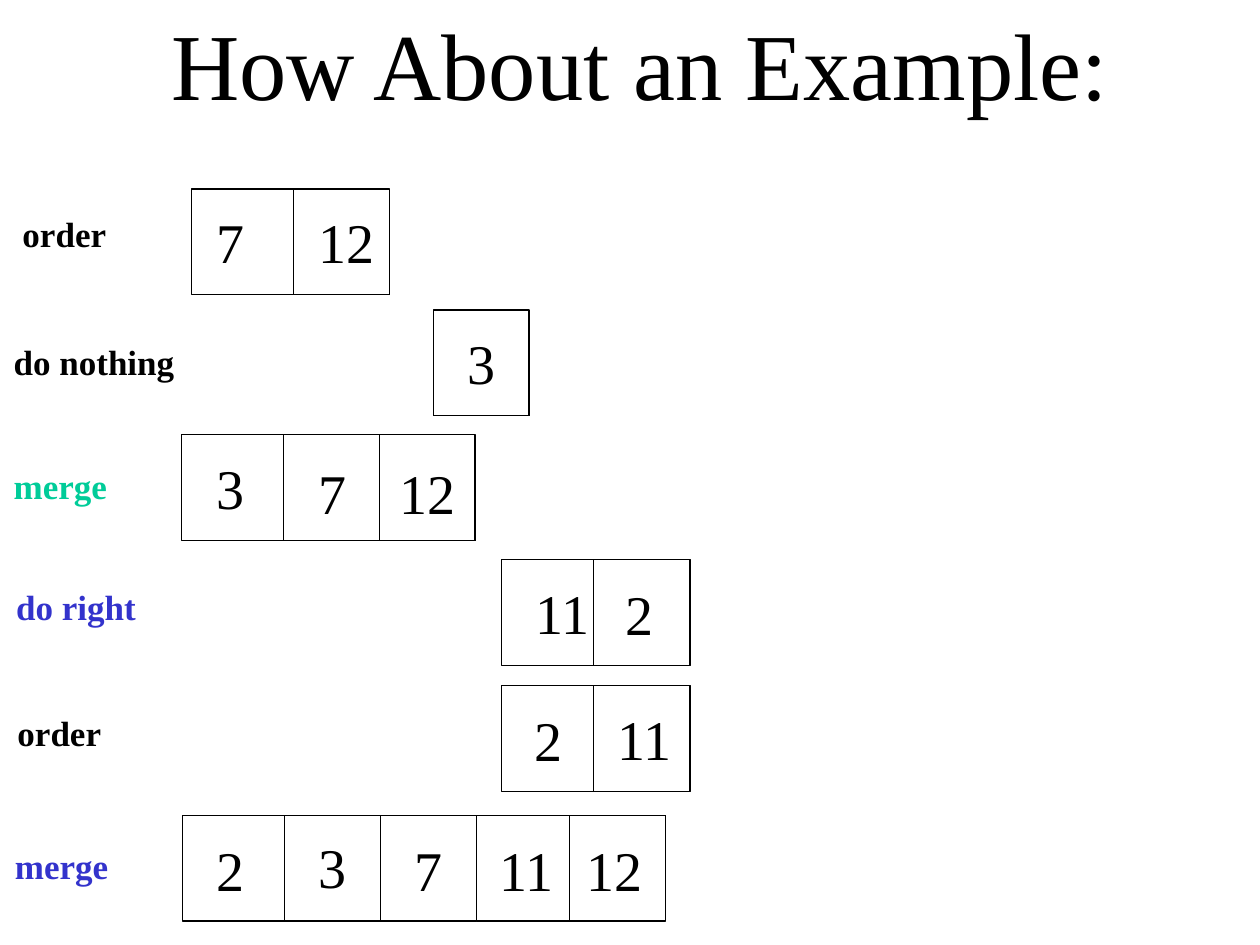
"""Build a slide that traces a merge sort row by row."""
from pptx import Presentation
from pptx import util as u
from pptx.dml.color import RGBColor
from pptx.enum import shapes, text
from pptx.oxml.ns import qn
from lxml import etree

FONT = "Times New Roman"
BLACK, GREEN, BLUE = "000000", "00CC99", "3333CC"
TITLE = "How About an Example:"
ROW_H, NUM_H, LABEL_H = 0.84, 0.64, 0.44
NUM_W = {1: 0.44, 2: 0.67}

ROWS = [
    {"top": 1.5, "label": ("order", 0.08, 1.64, 0.89, BLACK),
     "boxes": [(1.52, 1.57)], "lines": [2.33, 3.09],
     "numbers": [("7", 1.62, 1.6), ("12", 2.43, 1.6)]},
    {"top": 2.46, "label": ("do nothing", 0.01, 2.65, 1.5, BLACK),
     "boxes": [(3.44, 0.76)], "lines": [3.44, 4.2],
     "numbers": [("3", 3.61, 2.56)]},
    {"top": 3.45, "label": ("merge", 0.01, 3.64, 0.97, GREEN),
     "boxes": [(1.44, 2.33)], "lines": [2.25, 3.01, 3.77],
     "numbers": [("3", 1.62, 3.55), ("7", 2.43, 3.59), ("12", 3.07, 3.59)]},
    {"top": 4.44, "label": ("do right", 0.03, 4.6, 1.18, BLUE),
     "boxes": [(3.98, 1.5)], "lines": [3.98, 4.71, 5.47],
     "numbers": [("11", 4.15, 4.54), ("2", 4.87, 4.55)]},
    {"top": 5.44, "label": ("order", 0.04, 5.6, 0.89, BLACK),
     "boxes": [(3.98, 1.5)], "lines": [3.98, 4.71, 5.47],
     "numbers": [("2", 4.14, 5.55), ("11", 4.8, 5.54)]},
    {"top": 6.47, "label": ("merge", 0.02, 6.65, 0.97, BLUE),
     "boxes": [(1.45, 2.33), (3.78, 1.5)],
     "lines": [2.26, 3.02, 3.78, 4.52, 5.28],
     "numbers": [("2", 1.62, 6.58), ("3", 2.43, 6.56), ("7", 3.19, 6.58),
                 ("11", 3.87, 6.58), ("12", 4.56, 6.58)]},
]


def rgb(value):
    return RGBColor.from_string(value)


def inches(*values):
    return [u.Inches(v) for v in values]


def write(sp, content, size, color=BLACK, bold=False):
    tf = sp.text_frame
    tf.word_wrap = False
    tf.auto_size = text.MSO_AUTO_SIZE.SHAPE_TO_FIT_TEXT
    tf.vertical_anchor = text.MSO_ANCHOR.TOP
    p = tf.paragraphs[0]
    p.alignment = text.PP_ALIGN.LEFT
    r = p.add_run()
    r.text = content
    r.font.name, r.font.size, r.font.bold = FONT, u.Pt(size), bold
    r.font.color.rgb = rgb(color)


def outline(sp):
    sp.line.color.rgb = rgb(BLACK)
    sp.line.width = u.Pt(0.75)


def add_title(s):
    sp = s.shapes.title
    sp.left, sp.top, sp.width, sp.height = inches(1.26, 0, 7.68, 1)
    write(sp, TITLE, 54)


def add_label(s, content, left, top, width, color):
    sp = s.shapes.add_textbox(*inches(left, top, width, LABEL_H))
    write(sp, content, 20, color, True)


def add_number(s, content, left, top):
    sp = s.shapes.add_textbox(*inches(left, top, NUM_W[len(content)], NUM_H))
    write(sp, content, 32)


def add_box(s, left, top, width):
    sp = s.shapes.add_shape(shapes.MSO_SHAPE.RECTANGLE,
                            *inches(left, top, width, ROW_H))
    sp.shadow.inherit = False
    sp.fill.background()
    outline(sp)


def add_divider(s, x, top):
    sp = s.shapes.add_connector(shapes.MSO_CONNECTOR.STRAIGHT,
                                *inches(x, top, x, top + ROW_H))
    outline(sp)
    etree.SubElement(sp._element.spPr, qn("a:effectLst"))


def add_row(s, row):
    add_label(s, *row["label"])
    for x in row["lines"]:
        add_divider(s, x, row["top"])
    for number in row["numbers"]:
        add_number(s, *number)
    for left, width in row["boxes"]:
        add_box(s, left, row["top"], width)


def main():
    prs = Presentation()
    prs.slide_width, prs.slide_height = inches(10, 7.5)
    s = prs.slides.add_slide(prs.slide_layouts[5])
    add_title(s)
    for row in ROWS:
        add_row(s, row)
    prs.save("out.pptx")


if __name__ == "__main__":
    main()
